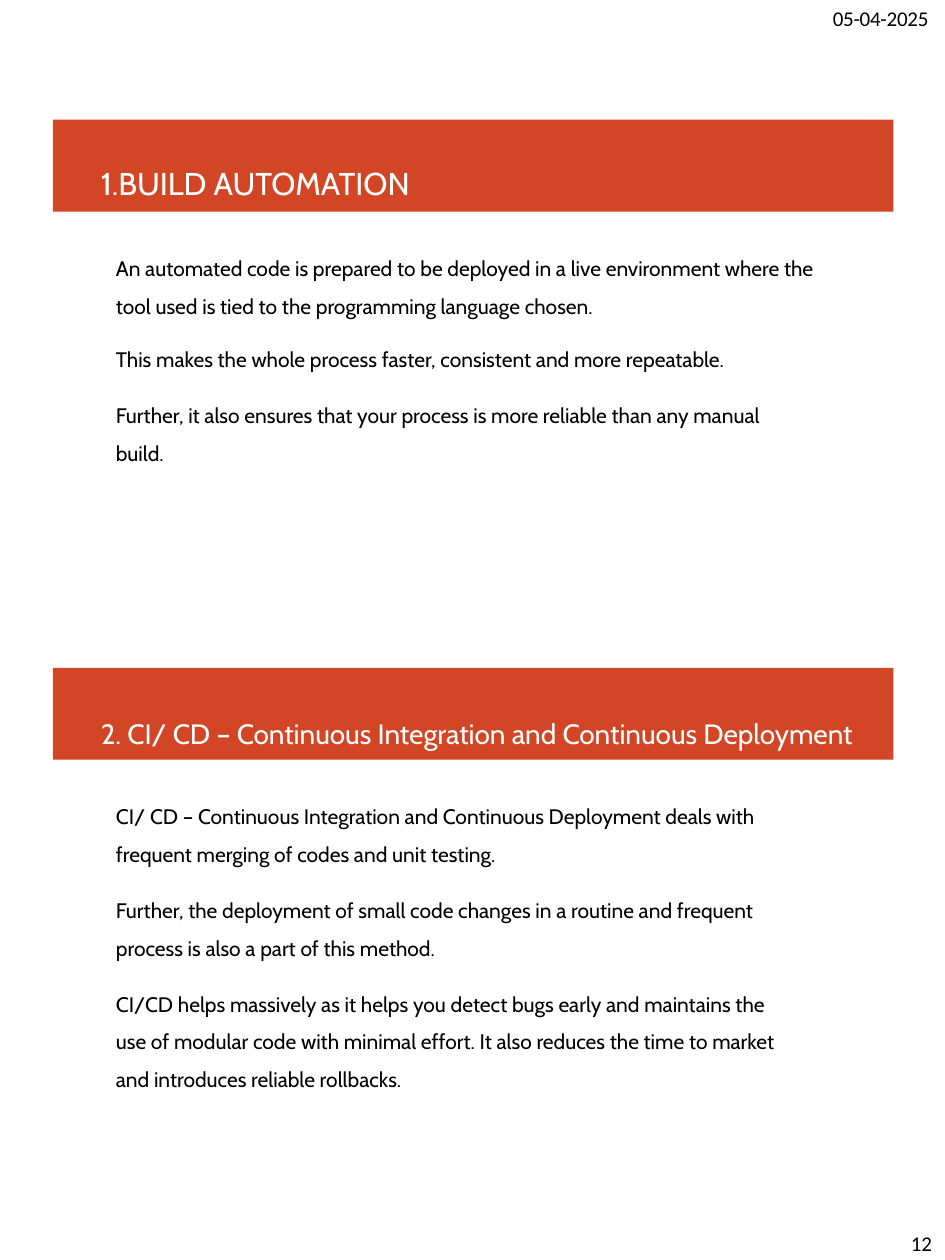
from pptx import Presentation
from pptx.dml.color import RGBColor
from pptx.enum.shapes import MSO_SHAPE
from pptx.enum.text import MSO_ANCHOR, PP_ALIGN
from pptx.util import Inches, Pt

RECTANGLE = MSO_SHAPE.RECTANGLE
TOP, BOTTOM = MSO_ANCHOR.TOP, MSO_ANCHOR.BOTTOM
LEFT = PP_ALIGN.LEFT

COLORS = {"band": "D24625", "title": "FFFFFF", "text": "000000"}
COLUMNS, ROWS = 75, 100
SECTION_STEP = 43.5  # rows from one section to the next
NARROW = 0.4  # right indent, in inches, of the shorter paragraphs

# Each paragraph: text, space before (pt), line spacing, right indent (in)
SECTIONS = [
    ("1.BUILD AUTOMATION", 18, 55.7, [
        ("An automated code is prepared to be deployed in a live environment "
         "where the tool used is tied to the programming language chosen.",
         0, 1.5, 0),
        ("This makes the whole process faster, consistent and more repeatable.",
         16, 1, 0),
        ("Further, it also ensures that your process is more reliable than "
         "any manual build.", 10.3, 1.5, NARROW),
    ]),
    ("2. CI/ CD – Continuous Integration and Continuous Deployment", 16, 57, [
        ("CI/ CD – Continuous Integration and Continuous Deployment deals "
         "with frequent merging of codes and unit testing.", 0, 1.5, NARROW),
        ("Further, the deployment of small code changes in a routine and "
         "frequent process is also a part of this method.", 10.3, 1.5, NARROW),
        ("CI/CD helps massively as it helps you detect bugs early and "
         "maintains the use of modular code with minimal effort. It also "
         "reduces the time to market and introduces reliable rollbacks.",
         10.3, 1.5, 0),
    ]),
]


class Handout:
    def __init__(self, deck):
        self.page = deck.slides.add_slide(deck.slide_layouts[6])
        self.column = deck.slide_width / COLUMNS
        self.row = deck.slide_height / ROWS

    def place(self, left, top, width, height):
        return (round(left * self.column), round(top * self.row),
                round(width * self.column), round(height * self.row))

    def prepare(self, frame, anchor=TOP, wrap=True, left=0, bottom=0):
        frame.word_wrap = wrap
        frame.vertical_anchor = anchor
        frame.margin_left, frame.margin_bottom = Inches(left), Inches(bottom)
        frame.margin_top = frame.margin_right = 0

    def style(self, para, size, font="Cabin", color="text", spacing=0):
        para.alignment = LEFT
        for span in para.runs:
            span.font.name = font
            span.font.size = Pt(size)
            span.font.color.rgb = RGBColor.from_string(COLORS[color])
            if spacing:
                span.font._element.set("spc", str(round(spacing * 100)))

    def label(self, text, *area):
        frame = self.page.shapes.add_textbox(*self.place(*area)).text_frame
        self.prepare(frame, wrap=False)
        frame.text = text
        self.style(frame.paragraphs[0], 12, "Calibri", spacing=-0.15)

    def band(self, title, size, *area):
        box = self.page.shapes.add_shape(RECTANGLE, *self.place(*area))
        box.shadow.inherit = False
        box.fill.solid()
        box.fill.fore_color.rgb = RGBColor.from_string(COLORS["band"])
        box.line.fill.background()
        self.prepare(box.text_frame, BOTTOM, left=0.38, bottom=0.08)
        box.text_frame.text = title
        self.style(box.text_frame.paragraphs[0], size, color="title")

    def body(self, paragraphs, *area):
        frame = self.page.shapes.add_textbox(*self.place(*area)).text_frame
        self.prepare(frame)
        frame.text = "\n".join(item[0] for item in paragraphs)
        for para, (_, before, leading, indent) in zip(frame.paragraphs, paragraphs):
            para.line_spacing = leading
            if before:
                para.space_before = Pt(before)
            if indent:
                para._p.get_or_add_pPr().set("marR", str(Inches(indent)))
            self.style(para, 12)


def main():
    deck = Presentation()
    deck.slide_width, deck.slide_height = Inches(7.5), Inches(10)
    handout = Handout(deck)

    # Page number and date
    handout.label("12", 72.3, 97.7, 2.3, 2)
    handout.label("05-04-2025", 66.1, 0.4, 8, 2.2)

    # Title band and text of each section
    for index, (title, size, width, paragraphs) in enumerate(SECTIONS):
        top = 9.5 + index * SECTION_STEP
        handout.band(title, size, 4.2, top, 66.7, 7.3)
        handout.body(paragraphs, 9.2, top + 9.8, width, 18 + 6 * index)

    deck.save("out.pptx")


if __name__ == "__main__":
    main()
